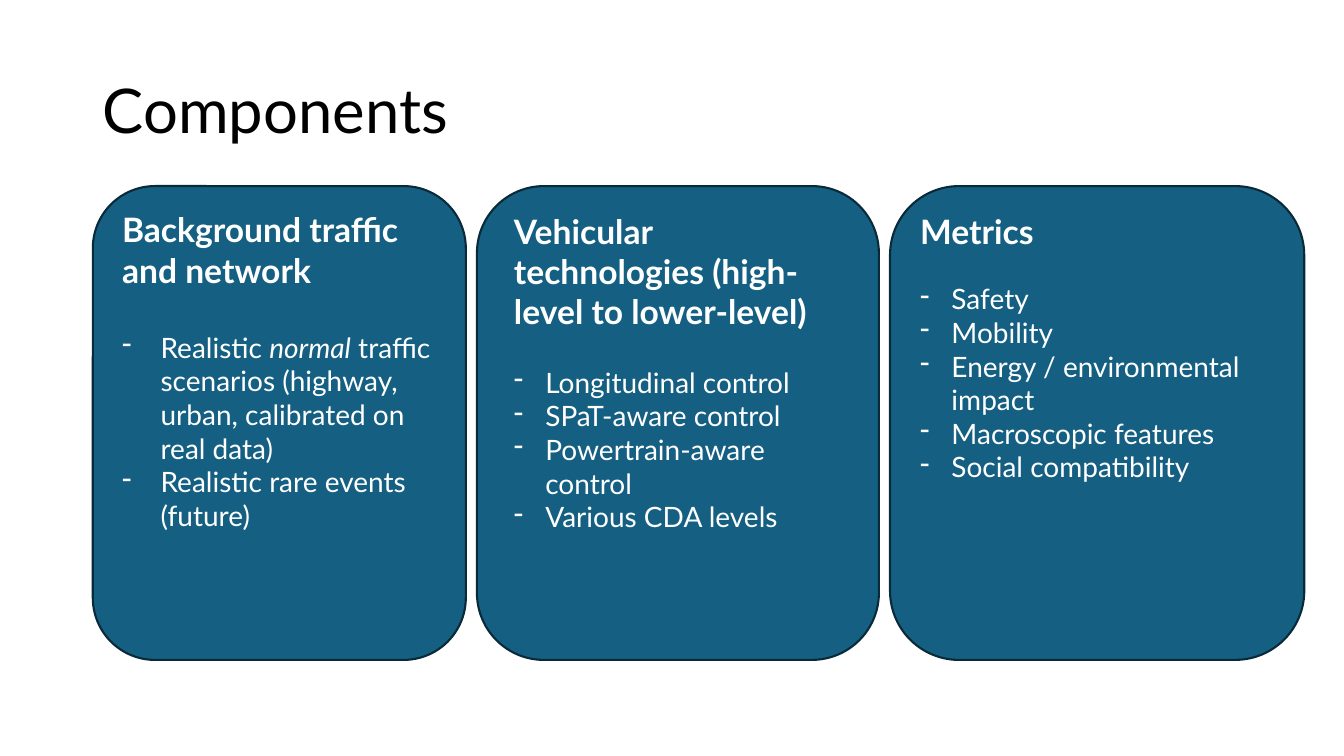
"""Build the Components slide with three rounded cards."""
from lxml import etree
from pptx import Presentation
from pptx.dml.color import RGBColor
from pptx.enum.shapes import MSO_SHAPE
from pptx.enum.text import MSO_ANCHOR, MSO_AUTO_SIZE, PP_ALIGN
from pptx.oxml.ns import qn
from pptx.util import Cm, Pt

ROUNDED = MSO_SHAPE.ROUNDED_RECTANGLE
TOP, MIDDLE = MSO_ANCHOR.TOP, MSO_ANCHOR.MIDDLE
NO_FIT = MSO_AUTO_SIZE.NONE
LEFT = PP_ALIGN.LEFT

BLACK = RGBColor(0x00, 0x00, 0x00)
WHITE = RGBColor(0xFF, 0xFF, 0xFF)
TEAL = RGBColor(0x15, 0x60, 0x82)
DARK_TEAL = RGBColor(0x09, 0x2A, 0x39)

MARGIN = 2.34
CARD_TOP, CARD_HEIGHT, CARD_GAP = 4.69, 11.94, 0.28
TITLE_ONLY = 5

CARDS = [
    {"heading": "Background traffic and network",
     "width": 9.4, "indent": 0.03, "hanging": 0.97, "gap": 28.8,
     "items": [
         ["Realistic ", "normal",
          " traffic scenarios (highway, urban, calibrated on real data)"],
         ["Realistic rare events (future)"]]},
    {"heading": "Vehicular technologies (high-level to lower-level)",
     "width": 10.13, "indent": 0.19, "hanging": 0.79, "gap": 24,
     "items": [["Longitudinal control"], ["SPaT-aware control"],
               ["Powertrain-aware control"], ["Various CDA levels"]]},
    {"heading": "Metrics",
     "width": 10.44, "indent": 0, "hanging": 0.79, "gap": 21.6,
     "items": [["Safety"], ["Mobility"], ["Energy / environmental impact"],
               ["Macroscopic features"], ["Social compatibility"]]},
]


class SlideBuilder:
    """Holds the text style and the current slide."""

    font = "Lato"

    def __init__(self, page):
        """Keep the page to draw on."""
        self.page = page

    def format_span(self, span, size, color, bold=False, italic=False):
        """Apply the slide's font to one run."""
        span.font.name = self.font
        span.font.size = Pt(size)
        span.font.color.rgb = color
        span.font.bold = bold
        span.font.italic = italic

    def title(self, text):
        """Fill and place the title placeholder."""
        box = self.page.shapes.title
        box.left, box.top = Cm(MARGIN), Cm(1.02)
        box.width, box.height = Cm(29.21), Cm(3.68)
        frame = box.text_frame
        frame.text = text
        frame.vertical_anchor = MIDDLE
        frame.auto_size = NO_FIT
        para = frame.paragraphs[0]
        para.alignment = LEFT
        para.line_spacing = 0.9
        self.format_span(para.runs[0], 44, BLACK)

    def bullet(self, para, indent, hanging):
        """Give a paragraph a dash with a hanging indent."""
        properties = para._p.get_or_add_pPr()
        properties.set("marL", str(Cm(indent + hanging)))
        properties.set("indent", str(-Cm(hanging)))
        etree.SubElement(properties, qn("a:buChar"), char="-")

    def card(self, left, width, heading, items, indent, hanging, gap):
        """Draw a rounded card with a heading and a dashed list."""
        box = self.page.shapes.add_shape(
            ROUNDED, Cm(left), Cm(CARD_TOP), Cm(width), Cm(CARD_HEIGHT))
        box.shadow.inherit = False
        box.fill.solid()
        box.fill.fore_color.rgb = TEAL
        box.line.color.rgb = DARK_TEAL
        box.line.width = Pt(1.5)

        frame = box.text_frame
        frame.word_wrap = True
        frame.vertical_anchor = TOP
        frame.text = heading
        para = frame.paragraphs[0]
        para.alignment = LEFT
        para.space_after = Pt(gap)
        para._p.get_or_add_pPr().set("marL", str(Cm(indent)))
        self.format_span(para.runs[0], 24, WHITE, bold=True)

        for parts in items:
            para = frame.add_paragraph()
            para.alignment = LEFT
            self.bullet(para, indent, hanging)
            for position, part in enumerate(parts):
                span = para.add_run()
                span.text = part
                self.format_span(span, 20, WHITE, italic=position == 1)


def main():
    """Create the deck and save it."""
    deck = Presentation()
    deck.slide_width, deck.slide_height = Cm(33.87), Cm(19.05)
    page = deck.slides.add_slide(deck.slide_layouts[TITLE_ONLY])
    builder = SlideBuilder(page)
    builder.title("Components")
    left = MARGIN
    for card in CARDS:
        builder.card(left, **card)
        left += card["width"] + CARD_GAP
    deck.save("out.pptx")


if __name__ == "__main__":
    main()
